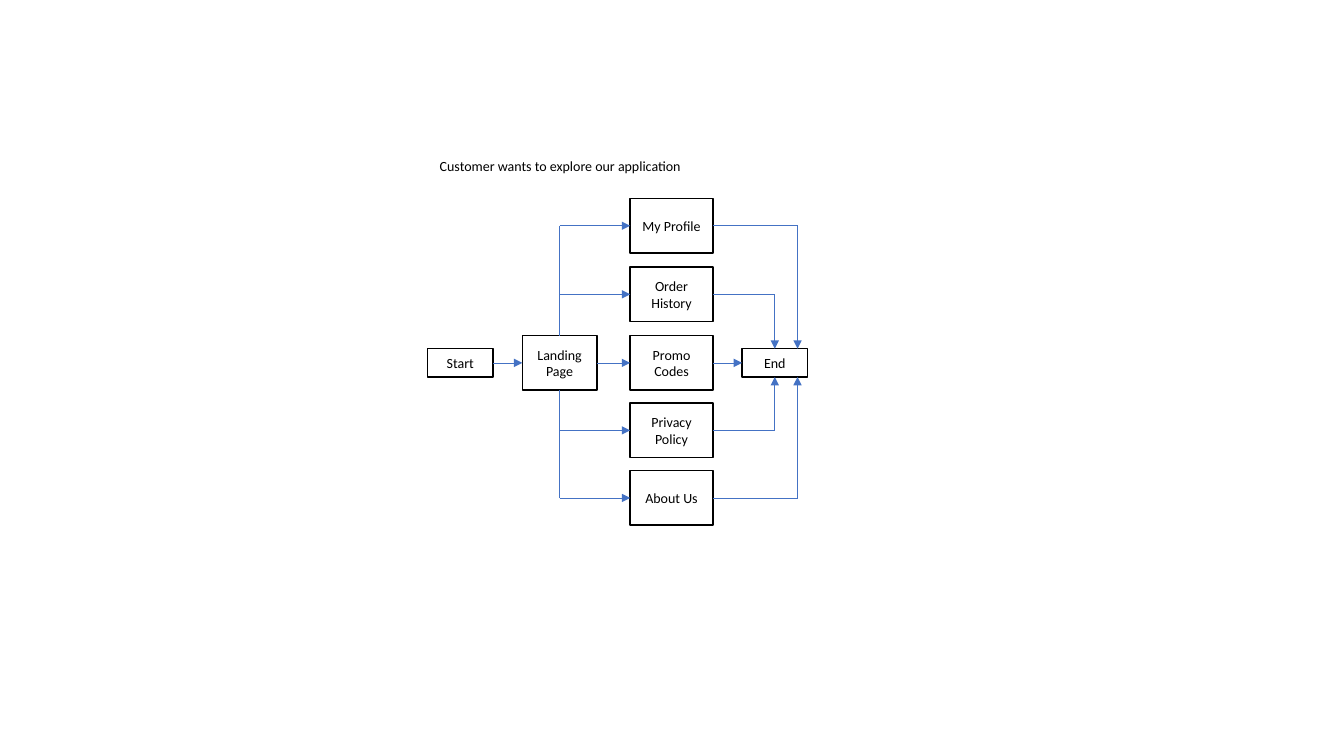
"""Build the flow slide of a customer exploring the application."""
from dataclasses import dataclass

from pptx import Presentation, util as u
from pptx.dml.color import RGBColor
from pptx.enum import shapes, text
from pptx.oxml.ns import qn
from lxml import etree


@dataclass(frozen=True)
class Theme:
    """Hold the colours, font and sizes."""
    ink: RGBColor = RGBColor(0x00, 0x00, 0x00)
    paper: RGBColor = RGBColor(0xFF, 0xFF, 0xFF)
    arrow: RGBColor = RGBColor(0x44, 0x72, 0xC4)
    font: str = "Calibri"
    size: float = 10
    border: float = 1
    stroke: float = 0.5


THEME = Theme()
MIDDLE_Y = 3.6
PAGES = {"My Profile": 2.24, "Order History": 2.92, "Promo Codes": MIDDLE_Y,
         "Privacy Policy": 4.27, "About Us": 4.94}
PAGE_LEFT, PAGE_W, PAGE_H = 6.25, 0.82, 0.54
TERMINAL_W, TERMINAL_H = 0.65, 0.28
OUTER_X = 7.91
TOP, LEFT, BOTTOM, RIGHT = range(4)


def write(sp, content, size=THEME.size, color=THEME.ink, wrap=True,
          anchor=text.MSO_ANCHOR.MIDDLE, fit=text.MSO_AUTO_SIZE.NONE):
    """Put one centred, formatted paragraph into a shape."""
    tf = sp.text_frame
    tf.word_wrap = wrap
    tf.auto_size = fit
    tf.vertical_anchor = anchor
    p = tf.paragraphs[0]
    p.alignment = text.PP_ALIGN.CENTER
    p.line_spacing = 1.0
    r = p.add_run()
    r.text = content
    r.font.name = THEME.font
    r.font.size = u.Pt(size)
    r.font.color.rgb = color


def add_title(s, content):
    """Place and format the title placeholder."""
    sp = s.shapes.title
    sp.left, sp.top = u.Inches(4.24), u.Inches(1.51)
    sp.width, sp.height = u.Inches(2.63), u.Inches(0.27)
    write(sp, content, wrap=False, anchor=text.MSO_ANCHOR.TOP,
          fit=text.MSO_AUTO_SIZE.SHAPE_TO_FIT_TEXT)


def add_box(s, label, left, middle, width, height):
    """Add an outlined box centred vertically on a row."""
    sp = s.shapes.add_shape(shapes.MSO_SHAPE.RECTANGLE, u.Inches(left),
                            u.Inches(middle - height / 2),
                            u.Inches(width), u.Inches(height))
    sp.shadow.inherit = False
    sp.fill.solid()
    sp.fill.fore_color.rgb = THEME.paper
    sp.line.color.rgb = THEME.ink
    sp.line.width = u.Pt(THEME.border)
    write(sp, label)
    return sp


def side(sp, site):
    """Return the middle point of one side of a box."""
    half_w, half_h = sp.width // 2, sp.height // 2
    dx, dy = ((half_w, 0), (0, half_h), (half_w, sp.height), (sp.width, half_h))[site]
    return sp.left + dx, sp.top + dy


def add_line(s, start, end, arrow=False):
    """Draw a line between points or (box, side) pairs, joining the boxes."""
    joins = [hasattr(place[0], "text_frame") for place in (start, end)]
    a, b = (side(*place) if joined else place
            for place, joined in zip((start, end), joins))
    c = s.shapes.add_connector(shapes.MSO_CONNECTOR.STRAIGHT, *a, *b)
    if joins[0]:
        c.begin_connect(*start)
    if joins[1]:
        c.end_connect(*end)
    c.line.color.rgb = THEME.arrow
    c.line.width = u.Pt(THEME.stroke)
    props = c._element.spPr
    if arrow:
        etree.SubElement(props.find(qn("a:ln")), qn("a:tailEnd"), type="triangle")
    etree.SubElement(props, qn("a:effectLst"))


def main():
    """Build and save the slide."""
    prs = Presentation()
    prs.slide_width, prs.slide_height = u.Inches(13.33), u.Inches(7.5)
    s = prs.slides.add_slide(prs.slide_layouts[5])
    add_title(s, "Customer wants to explore our application")

    start = add_box(s, "Start", 4.24, MIDDLE_Y, TERMINAL_W, TERMINAL_H)
    landing = add_box(s, "Landing Page", 5.18, MIDDLE_Y, 0.74, PAGE_H)
    end = add_box(s, "End", 7.36, MIDDLE_Y, TERMINAL_W, TERMINAL_H)
    profile, history, promo, privacy, about = [
        add_box(s, label, PAGE_LEFT, row_y, PAGE_W, PAGE_H)
        for label, row_y in PAGES.items()]

    for a, b in ((start, landing), (landing, promo), (promo, end)):
        add_line(s, (a, RIGHT), (b, LEFT), arrow=True)

    trunk_x = side(landing, TOP)[0]
    for inner, outer, site in ((history, profile, TOP), (privacy, about, BOTTOM)):
        end_x, end_y = side(end, site)
        outer_x = u.Inches(OUTER_X)
        trunk = (landing, site)
        for page, turn_x, target in ((inner, end_x, (end, site)),
                                     (outer, outer_x, (outer_x, end_y))):
            row_y = side(page, RIGHT)[1]
            fork, turn = (trunk_x, row_y), (turn_x, row_y)
            add_line(s, trunk, fork)
            add_line(s, fork, (page, LEFT), arrow=True)
            add_line(s, (page, RIGHT), turn)
            add_line(s, turn, target, arrow=True)
            trunk = fork

    prs.save("out.pptx")


if __name__ == "__main__":
    main()
